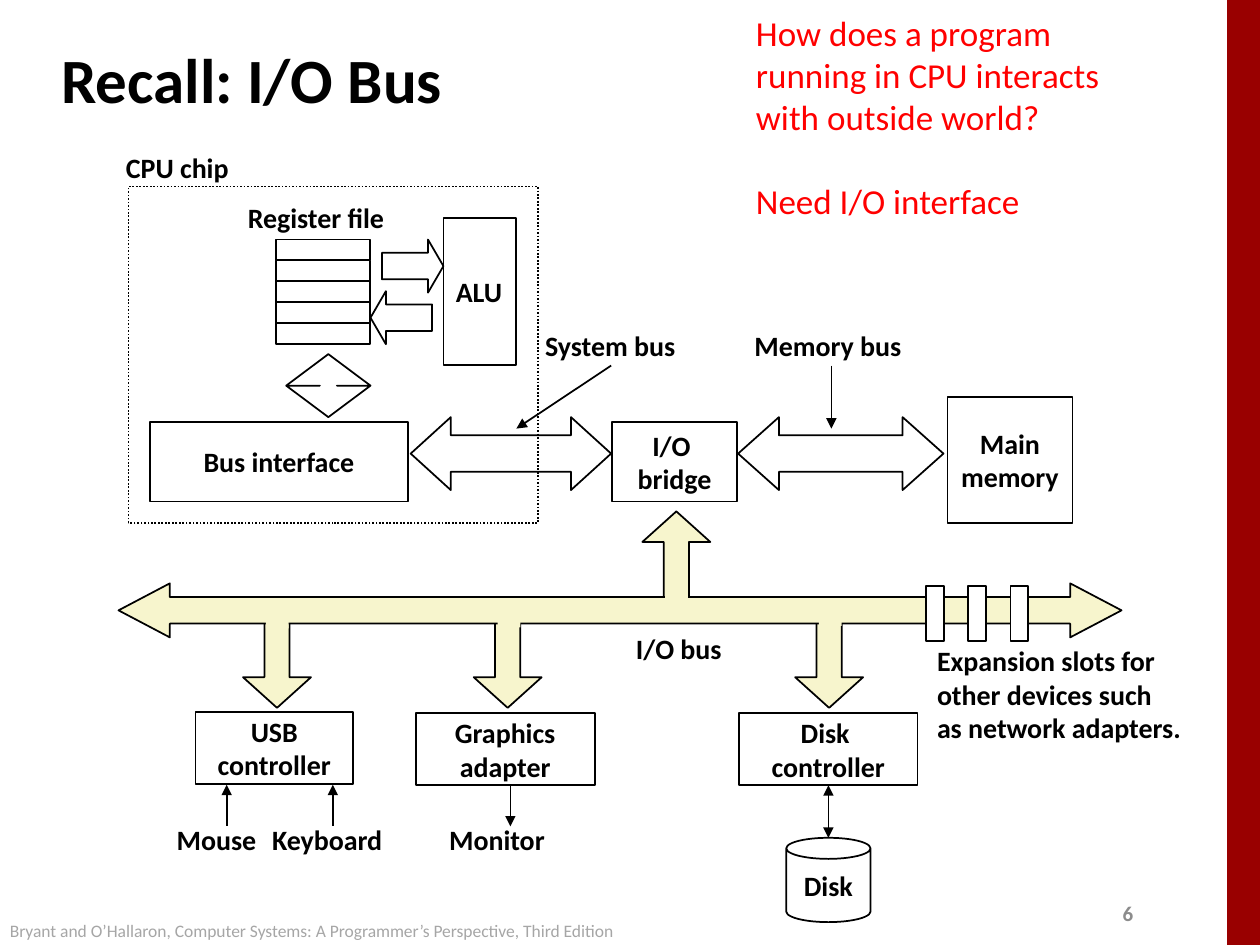
from dataclasses import dataclass

from lxml import etree
from pptx import Presentation
from pptx.dml.color import RGBColor
from pptx.enum.dml import MSO_LINE
from pptx.enum.shapes import MSO_CONNECTOR, MSO_SHAPE
from pptx.enum.text import MSO_ANCHOR, PP_ALIGN
from pptx.oxml.ns import qn
from pptx.util import Cm, Pt

RECTANGLE = MSO_SHAPE.RECTANGLE
CAN = MSO_SHAPE.CAN
ARROW_LEFT = MSO_SHAPE.LEFT_ARROW
ARROW_RIGHT = MSO_SHAPE.RIGHT_ARROW
ARROW_UP = MSO_SHAPE.UP_ARROW
ARROW_DOWN = MSO_SHAPE.DOWN_ARROW
ARROW_WIDE = MSO_SHAPE.LEFT_RIGHT_ARROW
ARROW_TALL = MSO_SHAPE.UP_DOWN_ARROW
STRAIGHT = MSO_CONNECTOR.STRAIGHT
DOTTED = MSO_LINE.ROUND_DOT
LEFT = PP_ALIGN.LEFT
CENTER = PP_ALIGN.CENTER
TOP = MSO_ANCHOR.TOP
MIDDLE = MSO_ANCHOR.MIDDLE
BOTTOM_SIDE = 2


@dataclass(frozen=True)
class Theme:
    font: str = "Calibri"
    ink: str = "000000"
    paper: str = "FFFFFF"
    band: str = "990000"
    bus: str = "F7F5CD"
    question: str = "FF0000"
    number: str = "8C8C8C"
    source: str = "A6A6A6"
    title_size: int = 36
    question_size: int = 20
    label_size: int = 16
    number_size: int = 12
    source_size: int = 10
    line_width: int = 1


THEME = Theme()


def color(code):
    return RGBColor.from_string(code)


def write(shape, lines, size=THEME.label_size, ink=THEME.ink, bold=True,
          align=LEFT, anchor=MIDDLE, wrap=False, gap=0):
    frame = shape.text_frame
    frame.word_wrap = wrap
    frame.vertical_anchor = anchor
    for index, line in enumerate(lines):
        para = frame.add_paragraph() if index else frame.paragraphs[0]
        para.alignment = align
        if index and gap:
            para.space_before = Pt(gap)
        span = para.add_run()
        span.text = line
        span.font.name = THEME.font
        span.font.size = Pt(size)
        span.font.bold = bold
        span.font.color.rgb = color(ink)


def add_label(page, place, *lines, **style):
    box = page.shapes.add_textbox(*map(Cm, place))
    write(box, lines, **style)


def add_block(page, kind, place, fill=None, outlined=True, adjust=()):
    shape = page.shapes.add_shape(kind, *map(Cm, place))
    shape.shadow.inherit = False
    if fill:
        shape.fill.solid()
        shape.fill.fore_color.rgb = color(fill)
    else:
        shape.fill.background()
    if outlined:
        shape.line.color.rgb = color(THEME.ink)
        shape.line.width = Pt(THEME.line_width)
    else:
        shape.line.fill.background()
    for index, value in enumerate(adjust):
        shape.adjustments[index] = value
    return shape


def add_unit(page, place, *lines, kind=RECTANGLE, align=CENTER):
    unit = add_block(page, kind, place)
    write(unit, lines, align=align)
    return unit


def add_pointer(page, start, end, heads=("tailEnd",), source=None):
    line = page.shapes.add_connector(STRAIGHT, *map(Cm, start + end))
    if source is not None:
        line.begin_connect(source, BOTTOM_SIDE)
    line.line.color.rgb = color(THEME.ink)
    line.line.width = Pt(THEME.line_width)
    outline = line.line._get_or_add_ln()
    for head in heads:
        etree.SubElement(outline, qn(f"a:{head}"), type="triangle")
    etree.SubElement(line._element.spPr, qn("a:effectLst"))


def add_frame_texts(page):
    add_block(page, RECTANGLE, (24.74, 0, 0.66, 19.05), THEME.band, outlined=False)
    add_label(page, (22.38, 18.03, 1.02, 0.76), "6",
              size=THEME.number_size, ink=THEME.number)
    add_label(page, (0.99, 0.53, 21.08, 2.11), "Recall: I/O Bus",
              size=THEME.title_size, wrap=True)
    add_label(page, (14.99, 0.1, 8.59, 4.52),
              "How does a program running in CPU interacts with outside world?",
              "Need I/O interface", size=THEME.question_size, ink=THEME.question,
              bold=False, anchor=TOP, wrap=True, gap=24)
    add_label(page, (-0.05, 18.42, 12.9, 0.69),
              "Bryant and O’Hallaron, Computer Systems: "
              "A Programmer’s Perspective, Third Edition",
              size=THEME.source_size, ink=THEME.source, bold=False, anchor=TOP)


def add_processor(page):
    add_unit(page, (3.02, 8.51, 5.21, 1.6), "Bus interface")
    row_height = 0.42
    for row in range(5):
        add_block(page, RECTANGLE, (5.56, 4.83 + row * row_height, 1.9, row_height))
    add_block(page, ARROW_RIGHT, (7.7, 4.83, 1.24, 1.07), adjust=(0.5, 0.29))
    add_block(page, ARROW_LEFT, (7.47, 5.87, 1.24, 1.07), adjust=(0.5, 0.29))
    add_unit(page, (8.94, 4.39, 1.47, 2.97), "ALU", align=LEFT)
    add_label(page, (4.72, 3.91, 3.3, 0.94), "Register file", align=CENTER)
    add_block(page, ARROW_TALL, (5.77, 7.14, 1.7, 1.27), adjust=(0.5, 0.2))
    chip = add_block(page, RECTANGLE, (2.59, 3.76, 8.26, 6.78))
    chip.line.dash_style = DOTTED
    add_label(page, (2.29, 2.9, 2.62, 0.94), "CPU chip")


def add_memory_path(page):
    add_unit(page, (19.1, 8, 2.52, 2.54), "Main", "memory")
    add_unit(page, (12.34, 8.51, 2.52, 1.6), "I/O ", "bridge")
    add_block(page, ARROW_WIDE, (14.88, 8.41, 4.14, 1.47), adjust=(0.5, 0.56))
    add_block(page, ARROW_WIDE, (8.28, 8.41, 4.04, 1.47), adjust=(0.5, 0.55))
    add_label(page, (10.74, 6.5, 3.18, 0.94), "System bus")
    add_pointer(page, (12.32, 7.37), (10.41, 8.64))
    add_label(page, (14.96, 6.5, 3.51, 0.94), "Memory bus")
    add_pointer(page, (16.76, 7.37), (16.76, 8.64))


def add_io_bus(page):
    branch = (0.37, 0.45)
    add_block(page, ARROW_UP, (12.95, 10.31, 1.37, 1.9), THEME.bus, adjust=branch)
    for left in (4.9, 9.55, 16.03):
        add_block(page, ARROW_DOWN, (left, 12.37, 1.37, 1.9), THEME.bus, adjust=branch)
    add_block(page, ARROW_WIDE, (2.39, 11.76, 20.22, 1.09), THEME.bus,
              adjust=(0.49, 0.95))
    for left, top in ((5.36, 12.24), (10.03, 12.22), (16.51, 12.19), (13.41, 12.01)):
        add_block(page, RECTANGLE, (left, top, 0.46, 0.43), THEME.bus, outlined=False)
    add_label(page, (12.57, 12.6, 2.26, 0.94), "I/O bus")
    for slot in range(3):
        add_block(page, RECTANGLE, (18.67 + slot * 0.85, 11.81, 0.36, 1.12), THEME.paper)
    add_label(page, (18.64, 12.85, 5.49, 2.3), "Expansion slots for",
              "other devices such", "as network adapters.", anchor=TOP)


def add_devices(page):
    port, device = 15.82, 16.66
    add_unit(page, (3.94, 14.35, 3.18, 1.45), "USB", "controller")
    add_unit(page, (8.38, 14.38, 3.61, 1.45), "Graphics", "adapter")
    controller = add_unit(page, (14.9, 14.38, 3.6, 1.45), "Disk ", "controller")
    for x, head in ((4.57, "headEnd"), (6.71, "headEnd"), (10.29, "tailEnd")):
        add_pointer(page, (x, port), (x, device), heads=(head,))
    for name, left, width in (("Mouse", 3.3, 2.13), ("Keyboard", 5.21, 2.77),
                              ("Monitor", 8.79, 2.46)):
        add_label(page, (left, 16.46, width, 0.94), name, align=CENTER)
    add_pointer(page, (16.7, port), (16.7, 16.89), ("headEnd", "tailEnd"), controller)
    add_unit(page, (15.85, 16.89, 1.7, 1.7), "Disk", kind=CAN)


def main():
    deck = Presentation()
    deck.slide_width = Cm(25.4)
    deck.slide_height = Cm(19.05)
    page = deck.slides.add_slide(deck.slide_layouts[6])
    add_frame_texts(page)
    add_memory_path(page)
    add_processor(page)
    add_io_bus(page)
    add_devices(page)
    deck.save("out.pptx")


if __name__ == "__main__":
    main()
